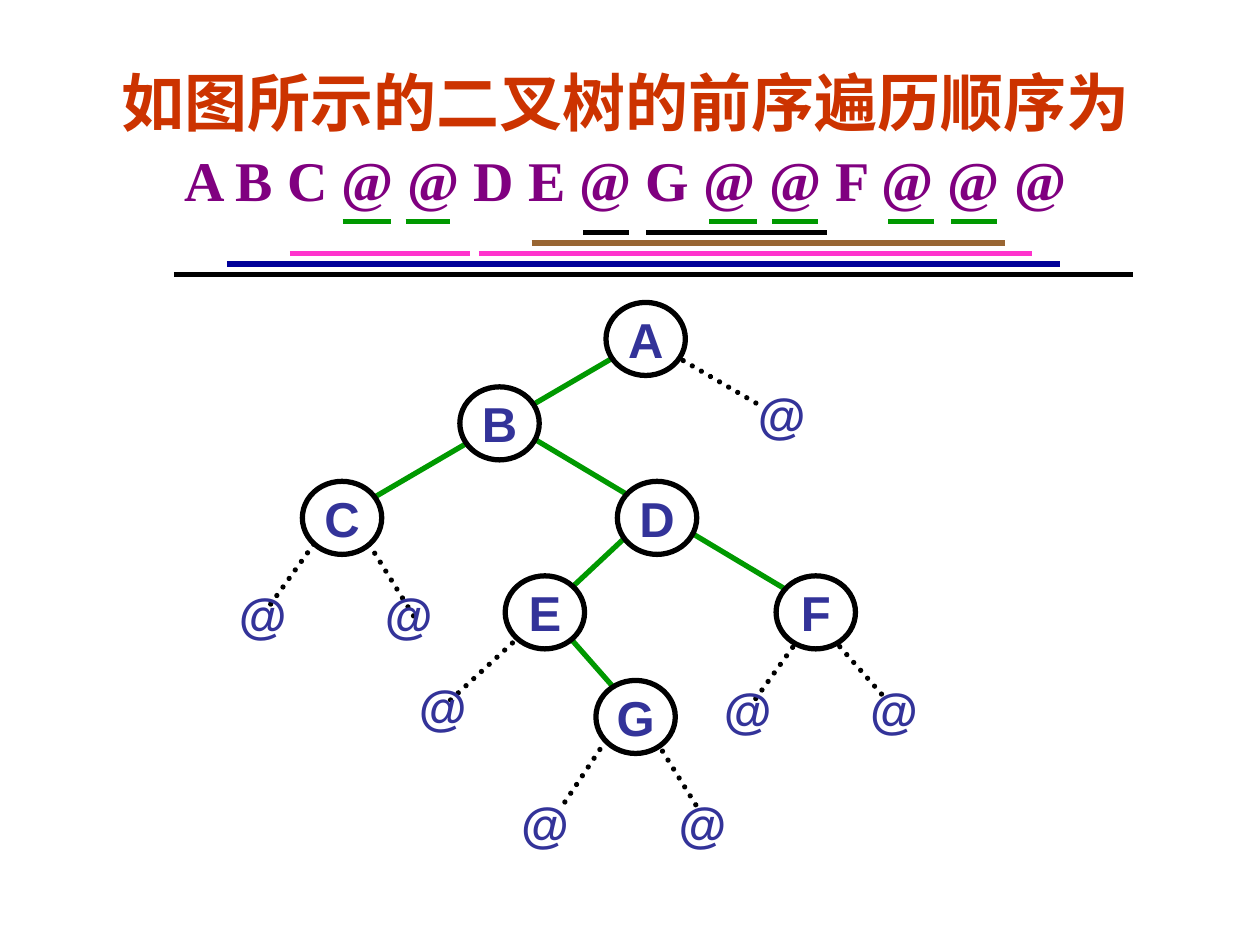
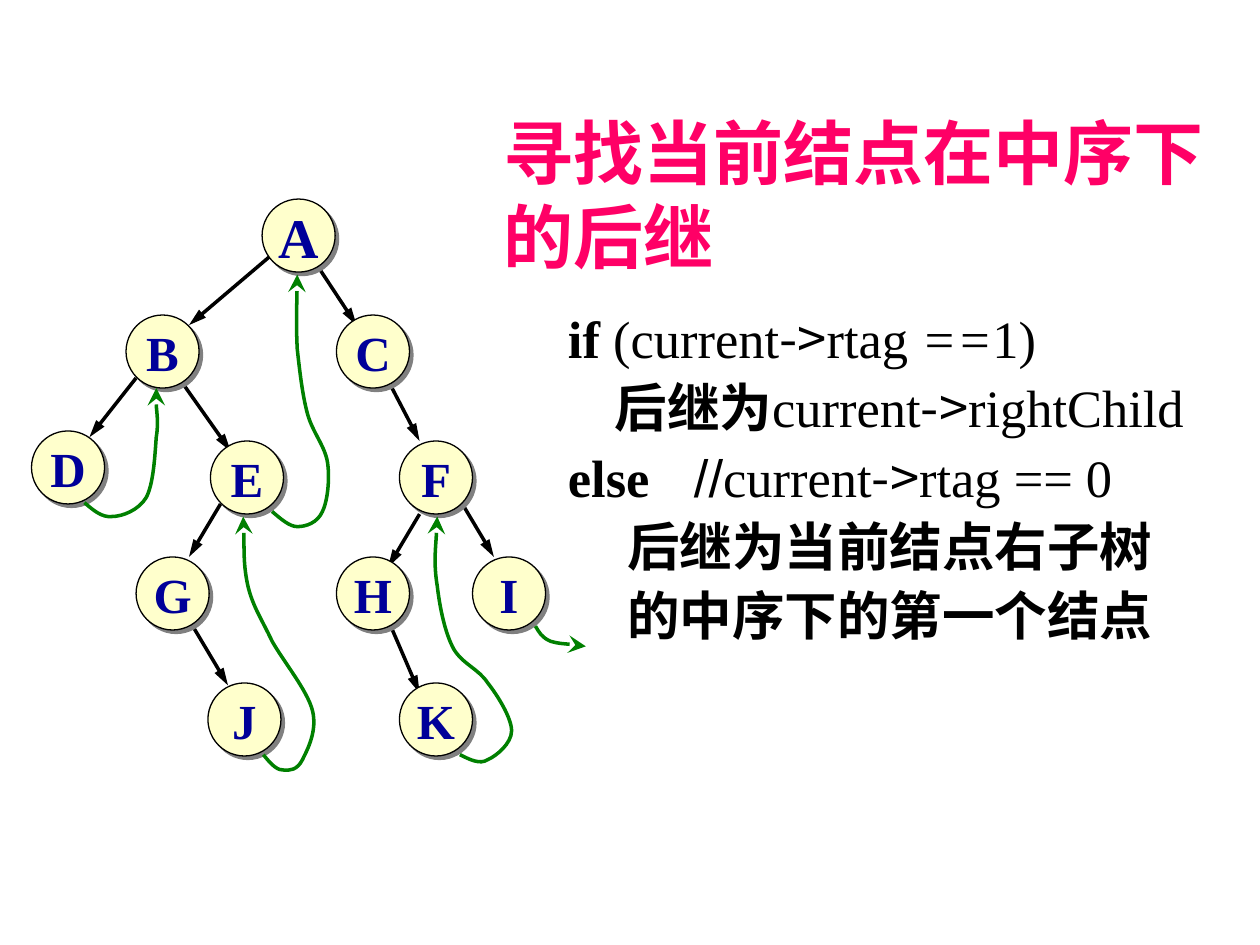
from lxml.etree import SubElement
from pptx import Presentation
from pptx.dml.color import RGBColor
from pptx.enum.dml import MSO_LINE
from pptx.enum.shapes import MSO_CONNECTOR, MSO_SHAPE
from pptx.enum.text import MSO_ANCHOR, PP_ALIGN
from pptx.oxml.ns import qn
from pptx.util import Inches, Pt

COLORS = {
    "title": "CC3300", "sequence": "800080", "label": "333399",
    "black": "000000", "white": "FFFFFF", "green": "009900",
    "brown": "996633", "pink": "FF33CC", "navy": "000099",
    "heading": "FF0066", "cream": "FFFFCC", "thread": "008000",
    "shadow": "808080",
}
SERIF, SANS, CJK = "Times New Roman", "Arial", "Noto Sans CJK SC"

# Traversal tree: top left corner of each node
TRAVERSAL_NODES = {
    "A": (4.81, 2.4), "B": (3.65, 3.07), "C": (2.4, 3.82), "D": (4.9, 3.82),
    "E": (4.01, 4.57), "F": (6.16, 4.57), "G": (4.73, 5.4),
}
EMPTY_CHILDREN = [(1.77, 4.59), (2.93, 4.59), (3.2, 5.32), (4.01, 6.25),
                  (5.26, 6.25), (5.62, 5.34), (6.78, 5.34), (5.89, 3)]
BRANCHES = [(4.46, 4.99, 4.9, 5.49), (4.99, 4.24, 4.37, 4.82),
            (4.1, 3.4, 6.34, 4.74), (4.9, 2.82, 2.76, 4.07)]
EMPTY_BRANCHES = [
    (4.19, 4.99, 3.56, 5.57), (4.9, 5.74, 4.46, 6.4), (5.17, 5.82, 5.53, 6.4),
    (2.49, 4.32, 2.13, 4.82), (2.93, 4.32, 3.29, 4.9), (6.61, 5.07, 7.05, 5.57),
    (5.35, 2.82, 6.07, 3.24), (6.34, 5.07, 5.98, 5.57),
]
# Underlined subtrees of the sequence, one level per row from the top
SUBTREE_SPANS = [
    ("green", [(2.72, 3.1), (3.22, 3.57), (5.63, 6.01), (6.13, 6.49),
               (7.05, 7.41), (7.55, 7.91)]),
    ("black", [(4.63, 4.99), (5.13, 6.56)]),
    ("brown", [(4.22, 6.63), (6.55, 7.98)]),
    ("pink", [(2.3, 3.73), (3.8, 8.19)]),
    ("navy", [(1.8, 8.33), (8.05, 8.41)]),
    ("black", [(1.38, 8.99)]),
]

THREADED_NODES = {
    "A": (2.08, 1.58), "B": (1, 2.5), "C": (2.67, 2.5), "D": (0.25, 3.42),
    "E": (1.67, 3.5), "F": (3.17, 3.5), "G": (1.08, 4.42), "H": (2.67, 4.42),
    "I": (3.75, 4.42), "J": (1.65, 5.42), "K": (3.17, 5.42),
}
CHILD_ARROWS = [
    (2.5, 2.08, 2.83, 2.58), (3.07, 3, 3.33, 3.5), (3.67, 4, 3.92, 4.42),
    (3.33, 4.08, 3.08, 4.5), (3.08, 4.92, 3.33, 5.5), (2.16, 2.02, 1.5, 2.58),
    (1.42, 3, 1.83, 3.58), (1.75, 4, 1.5, 4.42), (1.5, 4.92, 1.81, 5.44),
    (1.08, 3, 0.71, 3.47),
]
# Each thread: a start point, then two handles and an end point per curve
SUCCESSOR_THREADS = [
    [(0.67, 3.99), (0.74, 4.05), (0.81, 4.11), (0.89, 4.1), (0.97, 4.1),
     (1.1, 4.05), (1.16, 3.95), (1.22, 3.84), (1.23, 3.6), (1.24, 3.47),
     (1.26, 3.35), (1.24, 3.26), (1.24, 3.2), (1.24, 3.13), (1.24, 3.1), (1.24, 3.08)],
    [(2.16, 4.06), (2.23, 4.12), (2.3, 4.18), (2.36, 4.18), (2.43, 4.18),
     (2.52, 4.15), (2.56, 4.06), (2.6, 3.98), (2.62, 3.8), (2.6, 3.67),
     (2.58, 3.54), (2.48, 3.43), (2.44, 3.28), (2.4, 3.13), (2.38, 2.95),
     (2.36, 2.77), (2.35, 2.58), (2.36, 2.27), (2.36, 2.18)],
    [(2.09, 5.99), (2.14, 6.05), (2.19, 6.11), (2.24, 6.11), (2.3, 6.12),
     (2.36, 6.11), (2.4, 6.03), (2.44, 5.95), (2.52, 5.8), (2.48, 5.64),
     (2.44, 5.48), (2.25, 5.25), (2.16, 5.09), (2.08, 4.92), (2.01, 4.82),
     (1.97, 4.66), (1.93, 4.49), (1.94, 4.2), (1.93, 4.1)],
    [(3.65, 5.99), (3.73, 6.03), (3.81, 6.07), (3.87, 6.03), (3.94, 6),
     (4.06, 5.9), (4.06, 5.8), (4.06, 5.7), (3.95, 5.52), (3.87, 5.42),
     (3.8, 5.31), (3.67, 5.27), (3.6, 5.15), (3.53, 5.02), (3.49, 4.82),
     (3.47, 4.65), (3.44, 4.47), (3.47, 4.19), (3.47, 4.1)],
    [(4.25, 4.97), (4.28, 5.02), (4.3, 5.06), (4.37, 5.09), (4.44, 5.11),
     (4.6, 5.12), (4.65, 5.13)],
]
# Each line: left indent, then runs of text, font and style
SUCCESSOR_CODE = [
    (0, [("if", SERIF, "b"), (" (current", SERIF, ""), ("->", CJK, ""),
         ("rtag ", SERIF, ""), ("==", SERIF, "i"), ("1)", SERIF, "")]),
    (0.37, [("后继为", SERIF, "b"), ("current", SERIF, ""), ("->", CJK, ""),
            ("rightChild", SERIF, "")]),
    (0, [("else\t", SERIF, "b"), ("//", SANS, ""), ("current", SERIF, ""),
         ("->", CJK, ""), ("rtag == 0", SERIF, "")]),
    (0.47, [("后继为当前结点右子树", SERIF, "b")]),
    (0.47, [("的中序下的第一个结点", SERIF, "b")]),
]


def rgb(color):
    return RGBColor.from_string(COLORS[color])


def style_run(run, size, color, font=SERIF, bold=True, italic=False):
    run.font.name, run.font.size = font, Pt(size)
    run.font.bold, run.font.italic = bold, italic
    run.font.color.rgb = rgb(color)


def set_label(shape, text, size, color, font):
    """Centre a short text in a shape, without margins."""
    frame = shape.text_frame
    frame.margin_left = frame.margin_right = frame.margin_top = frame.margin_bottom = 0
    frame.word_wrap = False
    frame.vertical_anchor = MSO_ANCHOR.MIDDLE
    frame.text = text
    frame.paragraphs[0].alignment = PP_ALIGN.CENTER
    style_run(frame.paragraphs[0].runs[0], size, color, font)


def add_text_frame(slide, left, top, width, height):
    box = slide.shapes.add_textbox(Inches(left), Inches(top), Inches(width), Inches(height))
    box.text_frame.word_wrap = True
    return box.text_frame


def add_node(slide, left, top, width, height, fill, line_width):
    node = slide.shapes.add_shape(
        MSO_SHAPE.OVAL, Inches(left), Inches(top), Inches(width), Inches(height))
    node.shadow.inherit = False
    node.fill.solid()
    node.fill.fore_color.rgb = rgb(fill)
    node.line.color.rgb = rgb("black")
    node.line.width = Pt(line_width)
    return node


def add_drop_shadow(node):
    effects = node._element.spPr.find(qn("a:effectLst"))
    drop = SubElement(effects, qn("a:outerShdw"), dist=str(Pt(2.8)), dir="2700000",
                      algn="ctr", rotWithShape="0")
    SubElement(drop, qn("a:srgbClr"), val=COLORS["shadow"])


def add_arrowhead(line, kind, width):
    SubElement(line._get_or_add_ln(), qn("a:tailEnd"), type=kind, w=width, len="lg")


def add_line(slide, ends, color, width):
    line = slide.shapes.add_connector(MSO_CONNECTOR.STRAIGHT, *map(Inches, ends))
    line.line.color.rgb = rgb(color)
    line.line.width = Pt(width)
    SubElement(line._element.spPr, qn("a:effectLst"))
    return line


def add_dotted_line(slide, ends):
    line = add_line(slide, ends, "black", 3).line
    line.dash_style = MSO_LINE.ROUND_DOT
    line._get_or_add_ln().set("cap", "rnd")


def bend_segments(outline):
    """Turn every three straight segments of a freeform into one Bézier curve."""
    segments = list(outline._element.iter(qn("a:lnTo")))
    for first in range(0, len(segments), 3):
        curve = segments[first]
        for segment in segments[first + 1:first + 3]:
            curve.append(segment[0])
            segment.getparent().remove(segment)
        curve.tag = qn("a:cubicBezTo")


def add_thread(slide, controls):
    start, *rest = [(Inches(x), Inches(y)) for x, y in controls]
    builder = slide.shapes.build_freeform(*start)
    builder.add_line_segments(rest, close=False)
    thread = builder.convert_to_shape()
    bend_segments(thread)
    thread.shadow.inherit = False
    thread.fill.background()
    thread.line.color.rgb = rgb("thread")
    thread.line.width = Pt(2)
    add_arrowhead(thread.line, "stealth", "lg")


def add_code(slide):
    frame = add_text_frame(slide, 4.41, 2.33, 5.4, 3.4)
    for number, (indent, runs) in enumerate(SUCCESSOR_CODE):
        line = frame.paragraphs[0] if number == 0 else frame.add_paragraph()
        line.line_spacing = 1.1
        properties = line._p.get_or_add_pPr()
        properties.set("marL", str(Inches(indent)))
        properties.set("indent", "0")
        if any("\t" in text for text, _, _ in runs):
            stops = SubElement(properties, qn("a:tabLst"))
            SubElement(stops, qn("a:tab"), pos=str(Inches(0.92)), algn="l")
        for text, font, style in runs:
            run = line.add_run()
            run.text = text
            style_run(run, 30, "black", font, style == "b", style == "i")


def build_traversal(slide):
    frame = add_text_frame(slide, 0.71, 0.39, 8.51, 1.35)
    frame.vertical_anchor = MSO_ANCHOR.MIDDLE
    frame.text = "如图所示的二叉树的前序遍历顺序为\nA B C @ @ D E @ G @ @ F @ @ @"
    for line, size, color in zip(frame.paragraphs, (36, 32), ("title", "sequence")):
        line.alignment = PP_ALIGN.CENTER
        line.line_spacing = 1.1
        style_run(line.runs[0], size, color)

    for ends in EMPTY_BRANCHES:
        add_dotted_line(slide, ends)
    for ends in BRANCHES:
        add_line(slide, ends, "green", 3)
    for letter, (left, top) in TRAVERSAL_NODES.items():
        node = add_node(slide, left, top, 0.63, 0.58, "white", 3)
        set_label(node, letter, 28, "label", SANS)
    for left, top in EMPTY_CHILDREN:
        child = slide.shapes.add_textbox(Inches(left), Inches(top), Inches(0.63), Inches(0.57))
        set_label(child, "@", 28, "label", SANS)

    for level, (color, spans) in enumerate(SUBTREE_SPANS):
        y = 1.76 + level * 0.084
        for start, end in spans:
            add_line(slide, (start, y, end, y), color, 3)


def build_successor(slide):
    for ends in CHILD_ARROWS:
        add_arrowhead(add_line(slide, ends, "black", 2).line, "triangle", "med")
    add_code(slide)

    frame = add_text_frame(slide, 3.9, 0.82, 5.75, 1.43)
    frame.text = "寻找当前结点在中序下的后继"
    style_run(frame.paragraphs[0].runs[0], 40, "heading")

    for letter, (left, top) in THREADED_NODES.items():
        node = add_node(slide, left, top, 0.58, 0.58, "cream", 0.75)
        add_drop_shadow(node)
        set_label(node, letter, 32 if letter == "A" else 28, "navy", SERIF)
    for controls in SUCCESSOR_THREADS:
        add_thread(slide, controls)


def main():
    deck = Presentation()
    deck.slide_width, deck.slide_height = Inches(10), Inches(7.5)
    for build in (build_traversal, build_successor):
        build(deck.slides.add_slide(deck.slide_layouts[6]))
    deck.save("out.pptx")


if __name__ == "__main__":
    main()
